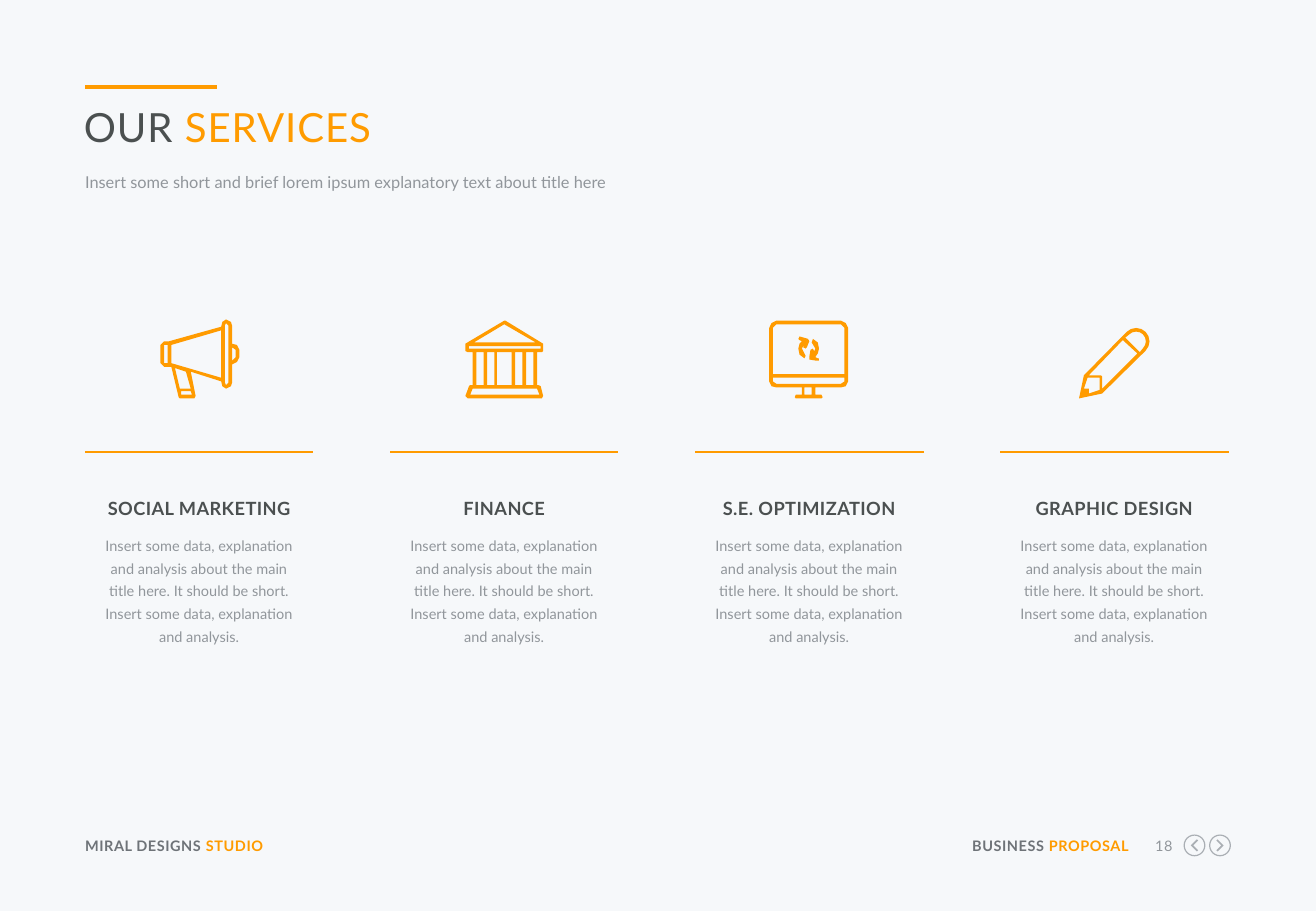
import math

import pptx
import pptx.dml.color
import pptx.enum.shapes
import pptx.enum.text
import pptx.oxml.ns
import pptx.util
from lxml import etree

Inches, Pt = pptx.util.Inches, pptx.util.Pt
ALIGN = pptx.enum.text.PP_ALIGN
STRAIGHT = pptx.enum.shapes.MSO_CONNECTOR.STRAIGHT

THEME = {
    "font": "Lato",
    "colors": {"paper": "F6F8FA", "accent": "FF9B00", "dark": "4B5050",
               "footer": "6E7378", "muted": "91969B", "button": "AAAFB4"},
    # size, bold, letter spacing in points
    "type": {"title": (23.8, False, 0.6), "subtitle": (9.7, False, 0),
             "heading": (10.8, True, 0.25), "body": (8.6, False, 0),
             "footer": (8.6, True, 0.3), "page": (8.6, False, 0.3)},
    "lines": {"title": 2.4, "rule": 1},
}


def arc(cx, cy, radius, start, end, steps=8):
    """Points along a circle, with angles in degrees clockwise from the right."""
    angles = [math.radians(start + (end - start) * i / steps) for i in range(steps + 1)]
    return [(cx + radius * math.cos(a), cy + radius * math.sin(a)) for a in angles]


def box(left, top, right, bottom):
    return [(left, top), (right, top), (right, bottom), (left, bottom)]


# Content. An icon is an outline followed by its openings, in inches
# from the column's left edge and the icon row's top.
BLURB = ("Insert some data, explanation and analysis about the main title here. "
         "It should be short. Insert some data, explanation and analysis.")

MEGAPHONE = [
    [(1.21, 0.23), (1.21, 0.08), (1.2, 0.05), (1.16, 0.03), (1.13, 0.05), (1.12, 0.09),
     (0.69, 0.21), (0.65, 0.21), (0.62, 0.24), (0.62, 0.39), (0.65, 0.42), (0.71, 0.42),
     (0.77, 0.67), (0.78, 0.68), (0.9, 0.68), (0.91, 0.66), (0.87, 0.46), (1.12, 0.54),
     (1.13, 0.58), (1.16, 0.6), (1.2, 0.58), (1.21, 0.55), (1.21, 0.4), (1.25, 0.38),
     (1.27, 0.34), (1.27, 0.28), (1.25, 0.24)],
    box(0.65, 0.24, 0.68, 0.39),
    [(0.88, 0.65), (0.79, 0.65), (0.79, 0.62), (0.87, 0.62)],
    [(0.87, 0.6), (0.78, 0.6), (0.74, 0.43), (0.83, 0.46)],
    [(1.12, 0.51), (0.71, 0.39), (0.71, 0.24), (1.12, 0.12)],
    [(1.18, 0.55), (1.16, 0.57), (1.15, 0.55), (1.15, 0.08), (1.16, 0.06), (1.18, 0.08)],
    [(1.24, 0.34), (1.21, 0.37), (1.21, 0.26), (1.24, 0.28)],
]
BANK = [
    [(1.26, 0.29), (1.26, 0.23), (0.95, 0.04), (0.94, 0.04), (0.62, 0.23), (0.62, 0.29),
     (0.64, 0.3), (0.68, 0.3), (0.68, 0.57), (0.66, 0.57), (0.65, 0.58), (0.62, 0.66),
     (0.64, 0.68), (1.25, 0.68), (1.26, 0.66), (1.24, 0.58), (1.22, 0.57), (1.21, 0.57),
     (1.21, 0.3), (1.25, 0.3)],
    [(0.94, 0.07), (1.2, 0.22), (0.69, 0.22)],
    [(1.21, 0.6), (1.23, 0.65), (0.66, 0.65), (0.68, 0.6)],
    box(0.65, 0.25, 1.24, 0.27),
    *[box(left, 0.3, right, 0.57) for left, right in
      [(0.71, 0.77), (0.8, 0.86), (0.88, 1), (1.03, 1.09), (1.12, 1.18)]],
]
MONITOR = [
    [(1.2, 0.04), (0.67, 0.04), (0.63, 0.06), (0.61, 0.1), (0.61, 0.54), (0.63, 0.58),
     (0.67, 0.59), (0.88, 0.59), (0.88, 0.65), (0.83, 0.65), (0.82, 0.67), (0.83, 0.68),
     (1.04, 0.68), (1.05, 0.67), (1.04, 0.65), (0.99, 0.65), (0.99, 0.59), (1.2, 0.59),
     (1.24, 0.58), (1.26, 0.54), (1.26, 0.1), (1.24, 0.06)],
    box(0.9, 0.59, 0.96, 0.65),
    [(0.64, 0.51), (1.23, 0.51), (1.23, 0.54), (1.2, 0.56), (0.67, 0.56), (0.64, 0.54)],
    [(0.64, 0.48), (0.64, 0.1), (0.67, 0.07), (1.2, 0.07), (1.23, 0.1), (1.23, 0.48)],
    [(1.01, 0.35), (0.99, 0.34), (1.01, 0.31), (1.02, 0.27), (1.01, 0.22), (0.97, 0.19),
     (0.96, 0.22), (0.99, 0.27), (0.97, 0.32), (0.98, 0.29), (0.97, 0.27), (0.95, 0.28),
     (0.94, 0.34), (0.94, 0.36), (1, 0.37), (1.02, 0.37), (1.02, 0.35)],
    [(0.93, 0.19), (0.86, 0.17), (0.85, 0.19), (0.86, 0.2), (0.88, 0.21), (0.86, 0.23),
     (0.85, 0.27), (0.86, 0.32), (0.9, 0.35), (0.91, 0.33), (0.88, 0.27), (0.9, 0.23),
     (0.89, 0.26), (0.91, 0.27), (0.92, 0.26), (0.94, 0.21)],
]
PENCIL = [
    [*arc(1.12, 0.21, 0.11, -135, 45), (0.84, 0.64), (0.65, 0.68), (0.69, 0.49)],
    [(0.82, 0.61), (0.73, 0.64), (0.73, 0.6), (0.69, 0.6), (0.72, 0.51), (0.82, 0.51)],
    [(0.84, 0.6), (0.84, 0.5), (0.83, 0.49), (0.73, 0.49), (1.01, 0.2), (1.13, 0.31)],
    [*arc(1.12, 0.21, 0.08, -135, 45), (1.15, 0.3), (1.03, 0.18)],
]
SERVICES = [("SOCIAL MARKETING", MEGAPHONE), ("FINANCE", BANK),
            ("S.E. OPTIMIZATION", MONITOR), ("GRAPHIC DESIGN", PENCIL)]

# place, style, coloured runs, format of the paragraph
TEXTS = [
    ((0.69, 0.84, 9.42, 0.41), "title", [("OUR ", "dark"), ("SERVICES", "accent")], {}),
    ((0.7, 1.4, 9.42, 0.21), "subtitle",
     [("Insert some short and brief lorem ipsum explanatory text about title here", "muted")],
     {"line_spacing": Pt(13)}),
    ((0.7, 6.89, 2.11, 0.15), "footer", [("MIRAL DESIGNS ", "footer"), ("STUDIO", "accent")], {}),
    ((7.92, 6.89, 1.37, 0.15), "footer", [("BUSINESS ", "footer"), ("PROPOSAL", "accent")],
     {"alignment": ALIGN.RIGHT}),
    ((9.4, 6.89, 0.25, 0.15), "page", [("18", "muted")], {"alignment": ALIGN.RIGHT}),
]
BUTTONS = [(9.83, -1), (10.04, 1)]  # centre and pointing direction
BUTTON_Y = 6.96
CHEVRON = [(-0.03, -0.04), (-0.02, -0.05), (0.03, 0), (-0.02, 0.05), (-0.03, 0.04), (0.01, 0)]

LEFT, PITCH, RULE_WIDTH, RULE_Y = 0.7, 2.51, 1.88, 3.72
ICON_TOP, TEXT_INSET, TEXT_WIDTH = 2.6, 0.11, 1.66


def color(name):
    return pptx.dml.color.RGBColor.from_string(THEME["colors"][name])


def set_all(target, values):
    for name, value in values.items():
        setattr(target, name, value)


def add_text(slide, place, style, runs, paragraph_format):
    frame = slide.shapes.add_textbox(*map(Inches, place)).text_frame
    set_all(frame, {"word_wrap": True, "margin_left": 0, "margin_right": 0,
                    "margin_top": 0, "margin_bottom": 0})
    paragraph = frame.paragraphs[0]
    set_all(paragraph, paragraph_format)
    size, bold, spacing = THEME["type"][style]
    for words, tint in runs:
        run = paragraph.add_run()
        run.text = words
        set_all(run.font, {"name": THEME["font"], "size": Pt(size), "bold": bold})
        run.font.color.rgb = color(tint)
        if spacing:
            run.font._element.set("spc", str(round(spacing * 100)))


def add_rule(slide, left, y, width, weight):
    rule = slide.shapes.add_connector(
        STRAIGHT, Inches(left), Inches(y), Inches(left + width), Inches(y))
    rule.line.color.rgb = color("accent")
    rule.line.width = Pt(THEME["lines"][weight])
    etree.SubElement(rule._element.spPr, pptx.oxml.ns.qn("a:effectLst"))


def add_glyph(slide, contours, left, top, tint):
    """Draw all contours as one filled shape; inner contours become openings."""
    first, *others = [[(Inches(left + x), Inches(top + y)) for x, y in contour]
                      for contour in contours]
    builder = slide.shapes.build_freeform(*first[0])
    builder.add_line_segments(first[1:])
    for contour in others:
        builder.move_to(*contour[0])
        builder.add_line_segments(contour[1:])
    glyph = builder.convert_to_shape()
    glyph.shadow.inherit = False
    glyph.fill.solid()
    glyph.fill.fore_color.rgb = color(tint)
    glyph.line.fill.background()


def main():
    deck = pptx.Presentation()
    set_all(deck, {"slide_width": Inches(10.83), "slide_height": Inches(7.5)})
    slide = deck.slides.add_slide(deck.slide_layouts[6])
    slide.background.fill.solid()
    slide.background.fill.fore_color.rgb = color("paper")

    add_rule(slide, LEFT, 0.72, 1.09, "title")
    for text in TEXTS:
        add_text(slide, *text)
    for center, direction in BUTTONS:
        chevron = [(x * direction, y) for x, y in CHEVRON]
        rings = [arc(0, 0, radius, 0, 345, 23) for radius in (0.09, 0.08)]
        add_glyph(slide, [*rings, chevron], center, BUTTON_Y, "button")

    centered = {"alignment": ALIGN.CENTER}
    for index, (heading, icon) in enumerate(SERVICES):
        left = LEFT + index * PITCH
        add_glyph(slide, icon, left, ICON_TOP, "accent")
        add_rule(slide, left, RULE_Y, RULE_WIDTH, "rule")
        add_text(slide, (left + TEXT_INSET, 4.09, TEXT_WIDTH, 0.18), "heading",
                 [(heading, "dark")], centered)
        add_text(slide, (left + TEXT_INSET, 4.38, TEXT_WIDTH, 0.95), "body",
                 [(BLURB, "muted")], {**centered, "line_spacing": 1.3, "space_after": Pt(6.5)})
    deck.save("out.pptx")


if __name__ == "__main__":
    main()
